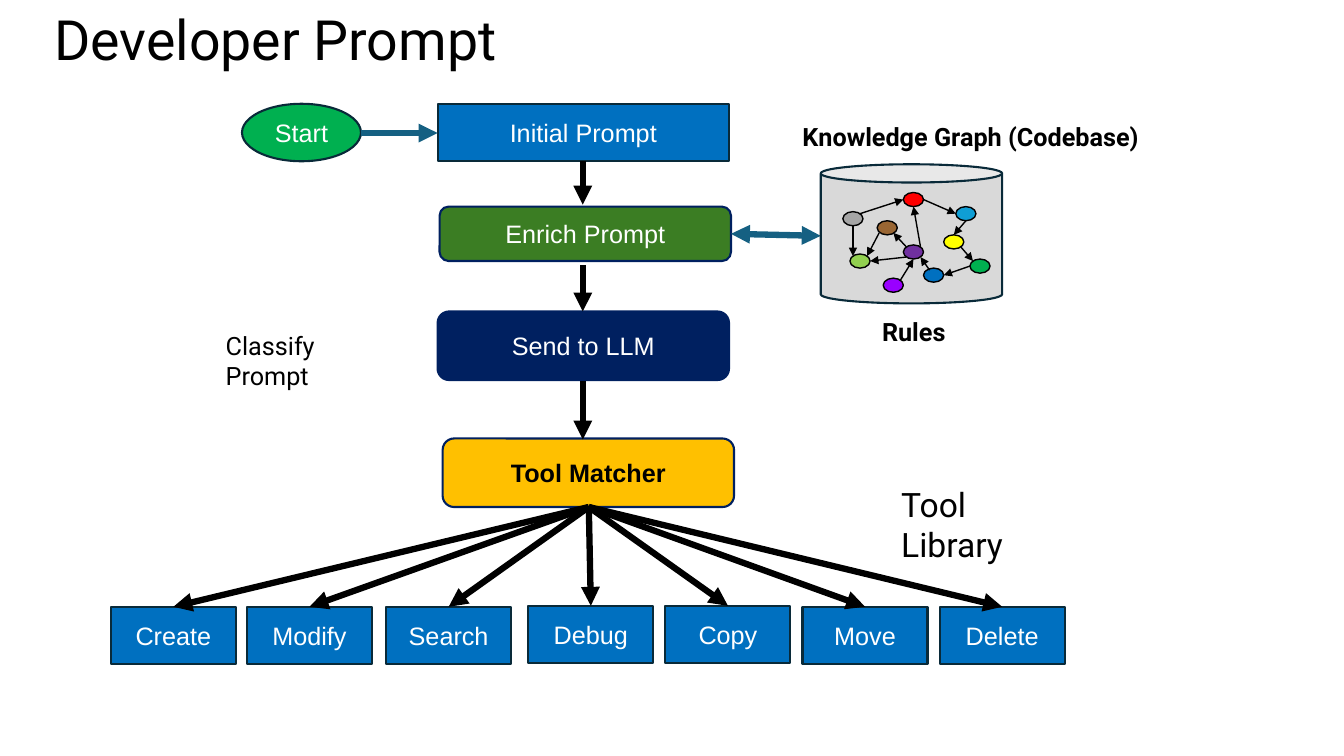
from lxml import etree
from pptx import Presentation
from pptx.dml.color import RGBColor
from pptx.enum.shapes import MSO_CONNECTOR, MSO_SHAPE
from pptx.enum.text import MSO_ANCHOR, MSO_AUTO_SIZE, PP_ALIGN
from pptx.oxml.ns import qn
from pptx.util import Pt

PX = 9144
RECT, ROUND = MSO_SHAPE.RECTANGLE, MSO_SHAPE.ROUNDED_RECTANGLE
OVAL, CAN = MSO_SHAPE.OVAL, MSO_SHAPE.CAN
STRAIGHT = MSO_CONNECTOR.STRAIGHT
MIDDLE, TOP = MSO_ANCHOR.MIDDLE, MSO_ANCHOR.TOP
CENTER, LEFT = PP_ALIGN.CENTER, PP_ALIGN.LEFT
GROW = MSO_AUTO_SIZE.SHAPE_TO_FIT_TEXT

COLORS = {
    "black": "000000", "white": "FFFFFF", "blue": "0070C0", "navy": "002060",
    "edge": "092A39", "start": "00B050", "teal": "156082", "enrich": "3B7D23",
    "amber": "FFC000", "store": "D9D9D9", "ink": "010101", "red": "FF0000",
    "brown": "996633", "purple": "7030A0", "sky": "0F9ED5", "yellow": "FFFF00",
    "lime": "92D050", "gray": "A5A5A5", "violet": "9900FF",
}


def color(name):
    return RGBColor.from_string(COLORS[name])


def px(*lengths):
    return [n * PX for n in lengths]


def write(tf, text, align, **font):
    p = tf.paragraphs[0]
    p.alignment = align
    r = p.add_run()
    r.text = text
    r.font.color.rgb = color(font.pop("ink"))
    for key, value in font.items():
        setattr(r.font, key, value)
    return p


def shape(shapes, kind, box, fill, edge, width=1.5):
    sp = shapes.add_shape(kind, *px(*box))
    sp.shadow.inherit = False
    sp.fill.solid()
    sp.fill.fore_color.rgb = color(fill)
    sp.line.color.rgb = color(edge)
    sp.line.width = Pt(width)
    return sp


def step(s, kind, box, text, fill, edge="edge", ink="white", bold=False):
    sp = shape(s.shapes, kind, box, fill, edge)
    tf = sp.text_frame
    tf.word_wrap = True
    tf.vertical_anchor = MIDDLE
    write(tf, text, CENTER, ink=ink, name="Arial", size=Pt(18), bold=bold)


def arrow(shapes, start, end, ink="black", width=4.5, both=False):
    line = shapes.add_connector(STRAIGHT, *px(*start, *end))
    line.line.color.rgb = color(ink)
    line.line.width = Pt(width)
    ln = line.line._get_or_add_ln()
    for tag in ("a:headEnd", "a:tailEnd") if both else ("a:tailEnd",):
        etree.SubElement(ln, qn(tag), type="triangle")
    etree.SubElement(line._element.spPr, qn("a:effectLst"))


def caption(s, box, text, size=18, bold=False):
    tf = s.shapes.add_textbox(*px(*box)).text_frame
    tf.word_wrap = True
    tf.auto_size = GROW
    tf.vertical_anchor = TOP
    write(tf, text, LEFT, ink="black", name="Roboto", size=Pt(size), bold=bold)


def title(s, box, text):
    tf = s.shapes.add_textbox(*px(*box)).text_frame
    tf.word_wrap = True
    tf.vertical_anchor = MIDDLE
    p = write(tf, text, LEFT, ink="black", name="Roboto", size=Pt(39.6))
    p.line_spacing = 0.9


def prompt_flow(s, box):
    x, y, w, h = box
    step(s, OVAL, (x, y, 118, 57), "Start", "start")
    steps = [
        (RECT, 194, 0, 57, "Initial Prompt", "blue", "edge", "white", False),
        (ROUND, 196, 102, 54, "Enrich Prompt", "enrich", "navy", "white", False),
        (ROUND, 194, 206, 68, "Send to LLM", "navy", "navy", "white", False),
        (ROUND, 199, 332, 68, "Tool Matcher", "amber", "navy", "black", True),
    ]
    for kind, dx, dy, height, *look in steps:
        step(s, kind, (x + dx, y + dy, 289, height), *look)
    for top, bottom in ((57, 100), (160, 206), (275, 333)):
        arrow(s.shapes, (x + 338, y + top), (x + 338, y + bottom))
    arrow(s.shapes, (x + 118, y + 29), (x + 194, y + 29), "teal")
    arrow(s.shapes, (x + w, y + 129), (x + w + 89, y + 131), "teal", both=True)


def knowledge_graph(s, box):
    x, y, w, h = box
    shapes = s.shapes.add_group_shape().shapes
    can = shape(shapes, CAN, box, "store", "edge")
    can.adjustments[0] = 0.131
    nodes = [
        ("red", 82, 28), ("brown", 56, 56), ("purple", 82, 80),
        ("sky", 134, 42), ("yellow", 122, 70), ("lime", 29, 89),
        ("blue", 102, 103), ("gray", 22, 47), ("start", 148, 94),
        ("violet", 62, 113),
    ]
    for fill, dx, dy in nodes:
        shape(shapes, OVAL, (x + dx, y + dy, 20, 14), fill, "ink", 1)
    links = [
        (39, 49, 82, 35), (102, 35, 134, 49), (144, 56, 132, 70),
        (139, 82, 151, 96), (148, 101, 122, 110), (108, 105, 99, 92),
        (85, 82, 72, 68), (58, 68, 46, 91), (32, 61, 32, 91),
        (99, 82, 92, 42), (85, 92, 49, 96), (79, 115, 92, 94),
    ]
    for x1, y1, x2, y2 in links:
        arrow(shapes, (x + x1, y + y1), (x + x2, y + y2), "ink", 1)
    caption(s, (x - 28, y - 48, 358, 40), "Knowledge Graph (Codebase)", bold=True)
    caption(s, (x + 51, y + h + 8, 85, 40), "Rules", bold=True)


def tool_row(s, box, source):
    x, y, w, h = box
    tools = [
        ("Create", 0, 0), ("Modify", 135, 0), ("Search", 273, 0),
        ("Debug", 414, -1), ("Copy", 550, -1), ("Move", 686, 0),
        ("Delete", 822, 0),
    ]
    for name, dx, dy in tools:
        step(s, RECT, (x + dx, y + dy, 124, h), name, "blue")
        arrow(s.shapes, source, (x + dx + 62, y + dy))


def main():
    prs = Presentation()
    prs.slide_width, prs.slide_height = px(1333, 750)
    s = prs.slides.add_slide(prs.slide_layouts[6])
    title(s, (44, 17, 1150, 51), "Developer Prompt")
    prompt_flow(s, (240, 103, 485, 400))
    knowledge_graph(s, (814, 163, 180, 138))
    caption(s, (214, 323, 193, 40), "Classify Prompt")
    tool_row(s, (110, 602, 946, 57), (584, 503))
    caption(s, (884, 475, 185, 50), "Tool Library", size=24)
    prs.save("out.pptx")


if __name__ == "__main__":
    main()
